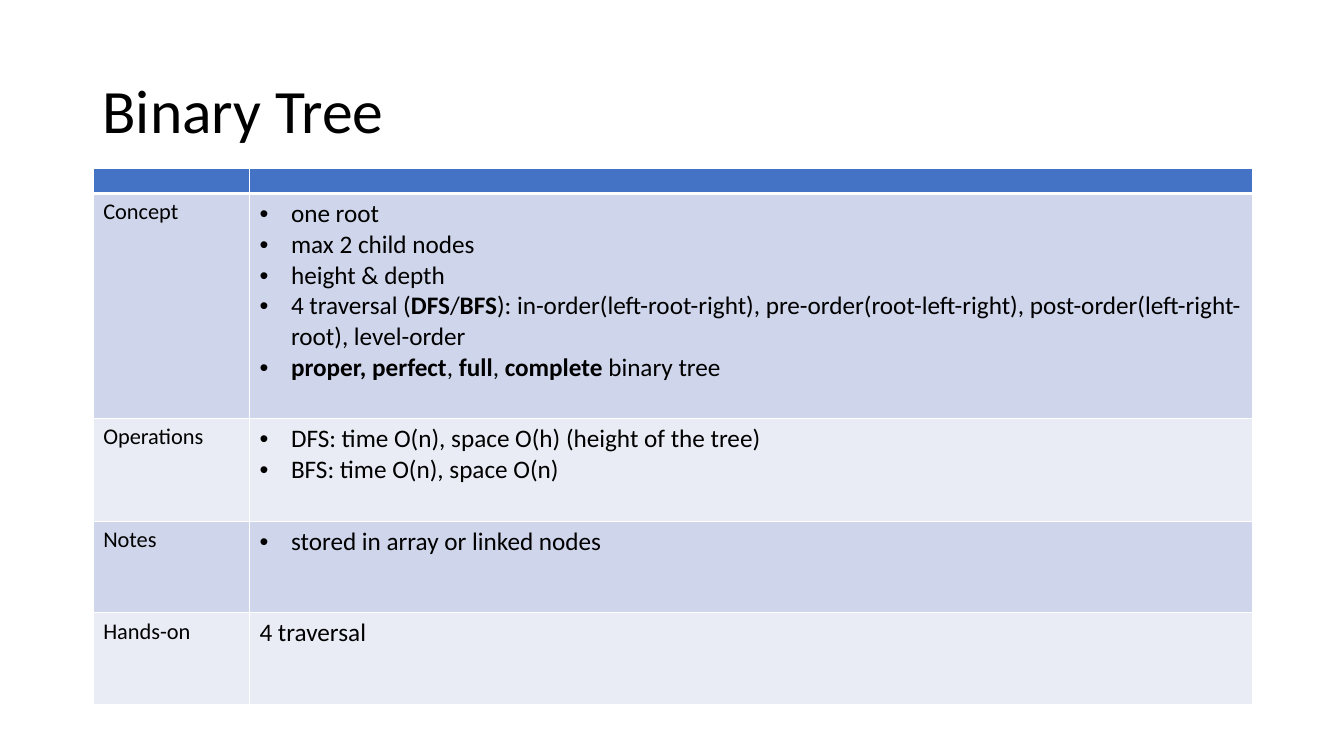
from dataclasses import dataclass

from lxml.etree import SubElement
from pptx import Presentation
from pptx.dml.color import RGBColor as Color
from pptx.enum.text import MSO_ANCHOR as Anchor, PP_ALIGN as Align
from pptx.oxml.ns import qn
from pptx.util import Pt


@dataclass(frozen=True)
class Theme:
    font: str = "Calibri"
    text: str = "000000"
    header: str = "4472C4"
    bands: tuple = ("CFD5EA", "E9EBF5")
    border: str = "FFFFFF"
    title_size: int = 44
    label_size: int = 16
    body_size: int = 18
    header_size: int = 8


THEME = Theme()
BULLET_INDENT = Pt(22.5)
COLUMN_WIDTHS = (111.6, 716.4)
HEADER_HEIGHT = 17.9

# Label, row height, bulleted, lines; ** switches bold on and off.
TOPICS = (
    ("Concept", 160.7, True, (
        "one root",
        "max 2 child nodes",
        "height & depth",
        "4 traversal (**DFS**/**BFS**): in-order(left-root-right), "
        "pre-order(root-left-right), post-order(left-right-root), level-order",
        "**proper, perfect**, **full**, **complete** binary tree",
    )),
    ("Operations", 73.6, True, (
        "DFS: time O(n), space O(h) (height of the tree)",
        "BFS: time O(n), space O(n)",
    )),
    ("Notes", 65.2, True, ("stored in array or linked nodes",)),
    ("Hands-on", 65.2, False, ("4 traversal",)),
)


def add_runs(paragraph, text, size):
    for index, part in enumerate(text.split("**")):
        if not part:
            continue
        run = paragraph.add_run()
        run.text = part
        run.font.color.rgb = Color.from_string(THEME.text)
        formats = {"name": THEME.font, "size": Pt(size), "bold": index % 2 == 1}
        for name, value in formats.items():
            setattr(run.font, name, value)


def add_bullet(paragraph):
    properties = paragraph._p.get_or_add_pPr()
    properties.set("marL", str(BULLET_INDENT))
    properties.set("indent", str(-BULLET_INDENT))
    SubElement(properties, qn("a:buFont"), typeface="Arial")
    SubElement(properties, qn("a:buChar"), char="•")


def style_cell(cell, fill, bottom_width=1):
    """Set the borders, then the fill, which must follow them in the XML."""
    properties = cell._tc.get_or_add_tcPr()
    widths = {"lnL": 1, "lnR": 1, "lnT": 1, "lnB": bottom_width}
    for side, width in widths.items():
        line = SubElement(properties, qn(f"a:{side}"), w=str(Pt(width)))
        solid = SubElement(line, qn("a:solidFill"))
        SubElement(solid, qn("a:srgbClr"), val=THEME.border)
    cell.fill.solid()
    cell.fill.fore_color.rgb = Color.from_string(fill)


def fill_cell(cell, lines, size, bulleted=False):
    frame = cell.text_frame
    for index, line in enumerate(lines):
        paragraph = frame.add_paragraph() if index else frame.paragraphs[0]
        add_runs(paragraph, line, size)
        if bulleted:
            add_bullet(paragraph)


def add_title(slide, text):
    title = slide.shapes.title
    box = {"left": 66, "top": 28.75, "width": 828, "height": 104.4}
    for name, value in box.items():
        setattr(title, name, Pt(value))
    title.text_frame.vertical_anchor = Anchor.MIDDLE
    paragraph = title.text_frame.paragraphs[0]
    paragraph.alignment = Align.LEFT
    paragraph.line_spacing = 0.9
    add_runs(paragraph, text, THEME.title_size)


def add_topic_table(slide):
    heights = (HEADER_HEIGHT, *(topic[1] for topic in TOPICS))
    table = slide.shapes.add_table(
        len(heights), len(COLUMN_WIDTHS), Pt(66.6), Pt(120.4),
        Pt(sum(COLUMN_WIDTHS)), Pt(sum(heights))).table
    for column, width in zip(table.columns, COLUMN_WIDTHS):
        column.width = Pt(width)
    for row, height in zip(table.rows, heights):
        row.height = Pt(height)

    for cell in table.rows[0].cells:
        style_cell(cell, THEME.header, bottom_width=3)
        # The empty paragraph's type size keeps the header row thin.
        SubElement(cell.text_frame.paragraphs[0]._p, qn("a:endParaRPr"),
                   sz=str(THEME.header_size * 100))

    for index, (label, _, bulleted, lines) in enumerate(TOPICS):
        label_cell, body_cell = table.rows[index + 1].cells
        for cell in (label_cell, body_cell):
            style_cell(cell, THEME.bands[index % 2])
        fill_cell(label_cell, (label,), THEME.label_size)
        fill_cell(body_cell, lines, THEME.body_size, bulleted)


def main():
    presentation = Presentation()
    presentation.slide_width = Pt(960)
    presentation.slide_height = Pt(540)
    slide = presentation.slides.add_slide(presentation.slide_layouts[5])
    add_title(slide, "Binary Tree")
    add_topic_table(slide)
    presentation.save("out.pptx")


if __name__ == "__main__":
    main()
